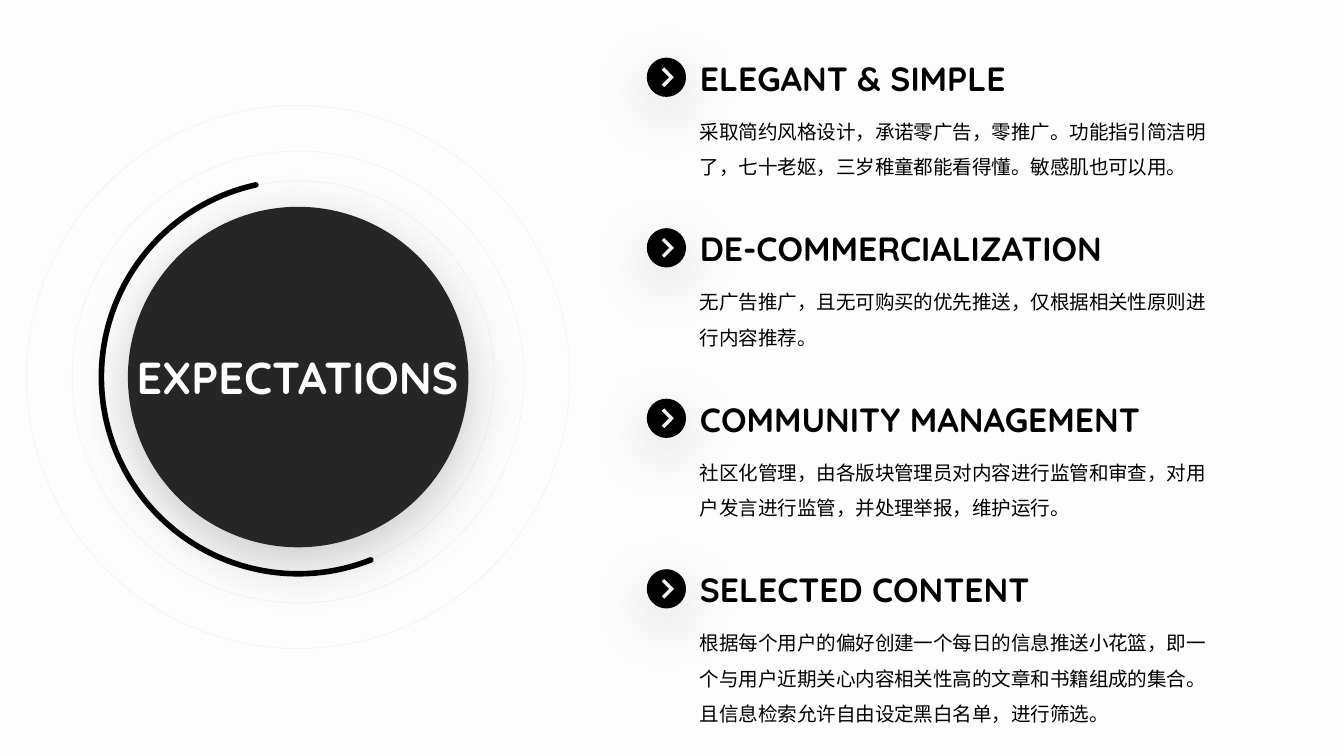
import pptx
import pptx.dml.color
import pptx.enum.shapes
import pptx.enum.text
import pptx.oxml
import pptx.oxml.ns
import pptx.util

Pt = pptx.util.Pt
RGBColor = pptx.dml.color.RGBColor
Shape = pptx.enum.shapes.MSO_SHAPE
Align = pptx.enum.text.PP_ALIGN

PAPER = RGBColor(0xFD, 0xFD, 0xFD)
CHARCOAL = RGBColor(0x26, 0x26, 0x26)
BLACK = RGBColor(0, 0, 0)
WHITE = RGBColor(0xFF, 0xFF, 0xFF)
RING_GREY = RGBColor(0xB2, 0xB2, 0xB2)

NAMESPACE = pptx.oxml.ns.nsdecls("a")
SHADOW_XML = (
    f'<a:outerShdw {NAMESPACE} blurRad="{Pt(30)}" dist="{Pt(8)}" '
    'dir="5400000" algn="t" rotWithShape="0">'
    '<a:srgbClr val="000000"><a:alpha val="20000"/></a:srgbClr></a:outerShdw>'
)
ALPHA_XML = f'<a:alpha {NAMESPACE} val="18000"/>'

# Title, title width, paragraphs
SECTIONS = [
    ("ELEGANT & SIMPLE", 221,
     ["采取简约风格设计，承诺零广告，零推广。功能指引简洁明了，七十老妪，三岁稚童都能看得懂。敏感肌也可以用。"]),
    ("DE-COMMERCIALIZATION", 266.4,
     ["无广告推广，且无可购买的优先推送，仅根据相关性原则进行内容推荐。"]),
    ("COMMUNITY MANAGEMENT", 266.4,
     ["社区化管理，由各版块管理员对内容进行监管和审查，对用户发言进行监管，并处理举报，维护运行。"]),
    ("SELECTED CONTENT", 221,
     ["根据每个用户的偏好创建一个每日的信息推送小花篮，即一个与用户近期关心内容相关性高的文章和书籍组成的集合。",
      "且信息检索允许自由设定黑白名单，进行筛选。"]),
]


def fill_with_soft_shadow(shape, color):
    shape.fill.solid()
    shape.fill.fore_color.rgb = color
    shape.line.fill.background()
    shape.shadow.inherit = False
    effects = shape._element.spPr.find(pptx.oxml.ns.qn("a:effectLst"))
    effects.append(pptx.oxml.parse_xml(SHADOW_XML))


def add_text(left, top, width, height, lines, size, font, color,
             bold=False, align=Align.LEFT, spacing=None):
    box = slide.shapes.add_textbox(Pt(left), Pt(top), Pt(width), Pt(height))
    box.text_frame.word_wrap = True
    box.text_frame.auto_size = pptx.enum.text.MSO_AUTO_SIZE.SHAPE_TO_FIT_TEXT
    box.text_frame.text = "\n".join(lines)
    for para in box.text_frame.paragraphs:
        para.alignment = align
        para.line_spacing = spacing
        para.font.size = Pt(size)
        para.font.name = font
        para.font.bold = bold
        para.font.color.rgb = color


deck = pptx.Presentation()
deck.slide_width, deck.slide_height = Pt(720), Pt(405)
slide = deck.slides.add_slide(deck.slide_layouts[6])
slide.background.fill.solid()
slide.background.fill.fore_color.rgb = PAPER

# Concentric dial on the left
CENTER_X, CENTER_Y = 159.7, 202
dial = slide.shapes.add_group_shape()
dial_parts = []
for kind, diameter in [(Shape.DONUT, 291), (Shape.DONUT, 210.2), (Shape.DONUT, 129.6),
                       (Shape.OVAL, 182.4), (Shape.ARC, 210.8)]:
    dial_parts.append(dial.shapes.add_shape(
        kind, Pt(CENTER_X - diameter / 2), Pt(CENTER_Y - diameter / 2),
        Pt(diameter), Pt(diameter)))
*rings, disc, arc = dial_parts

for ring, thickness in zip(rings, [0.084, 0.117, 0.189]):
    ring.adjustments[0] = thickness
    ring.fill.background()
    ring.line.color.rgb = RING_GREY
    ring.line.width = Pt(0.25)
    ring.shadow.inherit = False
    ring_color = ring.line._ln.find(".//" + pptx.oxml.ns.qn("a:srgbClr"))
    ring_color.append(pptx.oxml.parse_xml(ALPHA_XML))

fill_with_soft_shadow(disc, CHARCOAL)

# Arc angles are in 60000ths of a degree, adjustments in 100000ths
arc.adjustments[0] = 68.32 * 0.6
arc.adjustments[1] = 257.61 * 0.6
arc.fill.background()
arc.line.color.rgb = BLACK
arc.line.width = Pt(3)
arc.line._ln.set("cap", "rnd")
arc.shadow.inherit = False

add_text(40.6, 183.6, 237.6, 36, ["EXPECTATIONS"], 24, "Quicksand", WHITE,
         bold=True, align=Align.CENTER)

# Four sections on the right, each with a chevron badge
PITCH = 91.35
BADGE_X, BADGE_RADIUS = 357, 10.5
CURVE = 0.55  # share of the radius that makes a Bezier quarter circle
quarters = [(0, -1), (-1, 0), (0, 1), (1, 0), (0, -1)]
circle = [(x * BADGE_RADIUS, y * BADGE_RADIUS) for x, y in quarters]
chevron = [(4.2, 0), (-1.2, 5.4), (-2.6, 4), (1.4, 0), (-2.6, -4), (-1.2, -5.4)]

for index, (title, title_width, lines) in enumerate(SECTIONS):
    offset = index * PITCH
    badge_y = 41.4 + offset
    outlines = [[(Pt(BADGE_X + x), Pt(badge_y + y)) for x, y in outline]
                for outline in (circle, chevron)]
    builder = slide.shapes.build_freeform(*outlines[0][0])
    builder.add_line_segments(outlines[0][1:], close=True)
    builder.move_to(*outlines[1][0])
    builder.add_line_segments(outlines[1][1:], close=True)
    badge = builder.convert_to_shape()

    # Bend the sides of the diamond into quarter circles
    sides = list(badge._element.iter(pptx.oxml.ns.qn("a:lnTo")))[:4]
    for side, (x1, y1), (x2, y2) in zip(sides, quarters, quarters[1:]):
        controls = [(x1 + CURVE * x2, y1 + CURVE * y2),
                    (x2 + CURVE * x1, y2 + CURVE * y1), (x2, y2)]
        points = "".join(
            f'<a:pt x="{Pt(BADGE_RADIUS * (1 + x))}" y="{Pt(BADGE_RADIUS * (1 + y))}"/>'
            for x, y in controls)
        side.getparent().replace(side, pptx.oxml.parse_xml(
            f"<a:cubicBezTo {NAMESPACE}>{points}</a:cubicBezTo>"))
    fill_with_soft_shadow(badge, BLACK)

    add_text(367.9, 54.4 + offset, 292.3, 45.4 if len(lines) == 1 else 64.8,
             lines, 10.5, "Calibri", BLACK, spacing=1.5)
    add_text(367.9, 27.3 + offset, title_width, 28.8, [title], 18, "Quicksand", BLACK, bold=True)

deck.save("out.pptx")
